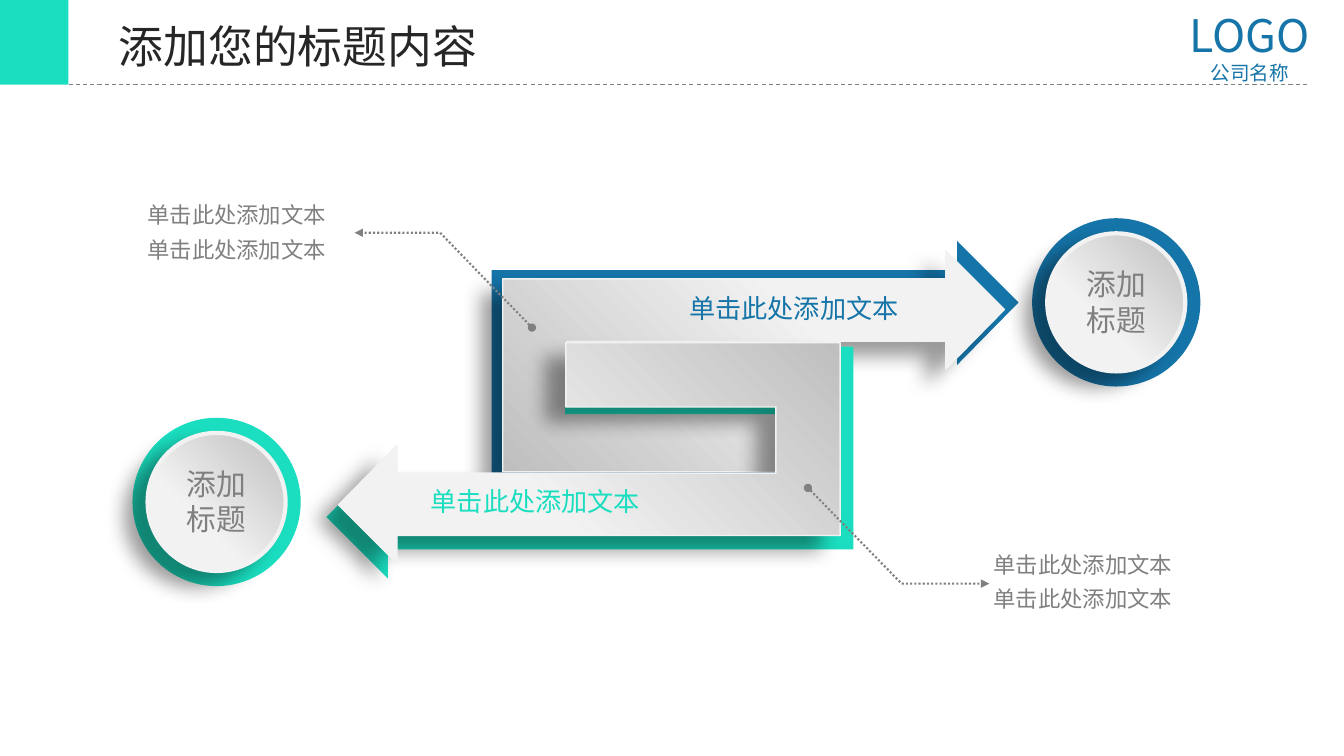
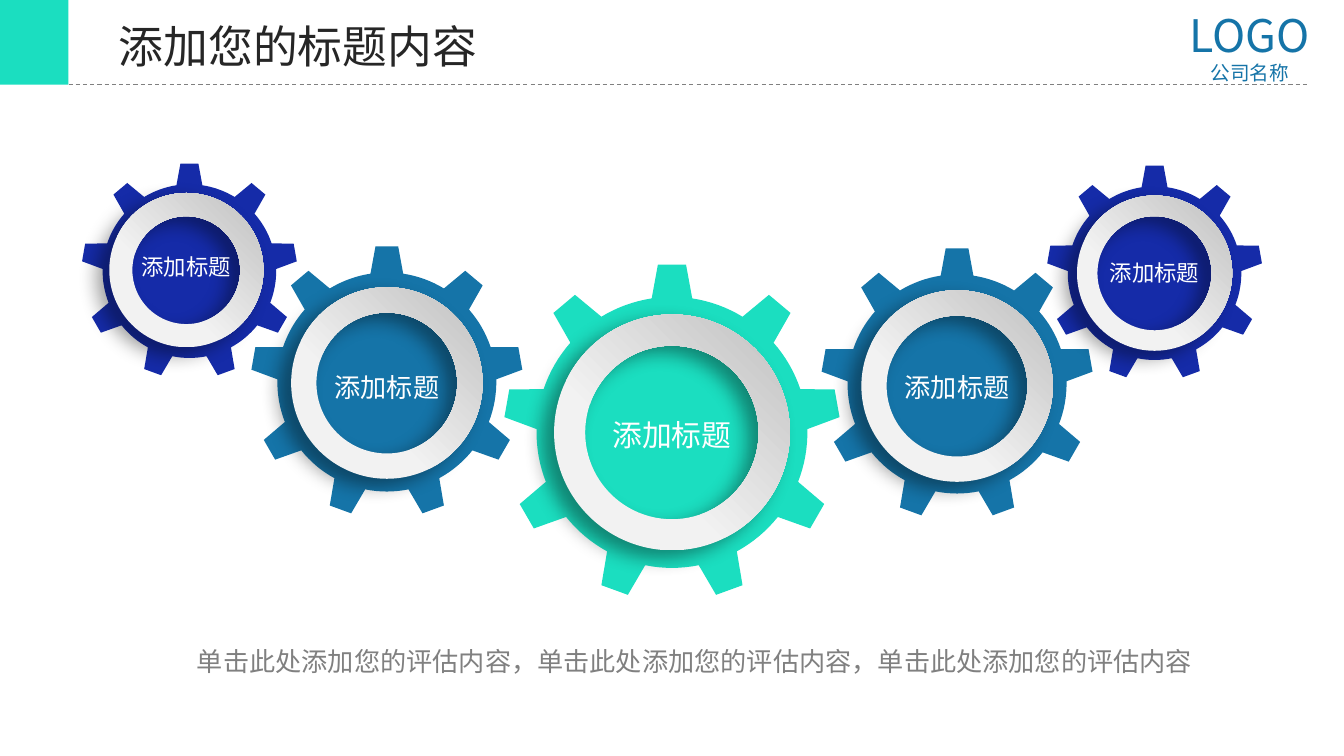
from dataclasses import dataclass
from math import cos, radians, sin

from lxml import etree
from pptx import Presentation
from pptx.dml.color import RGBColor
from pptx.enum import dml, shapes, text
from pptx.oxml import parse_xml
from pptx.oxml.ns import nsdecls, qn
from pptx.util import Inches, Pt

TEAL = RGBColor(0x1B, 0xDE, 0xC0)
BLUE = RGBColor(0x15, 0x74, 0xA8)
NAVY = RGBColor(0x15, 0x2B, 0xA8)
GRAY = RGBColor(0x80, 0x80, 0x80)
DARK = RGBColor(0x26, 0x26, 0x26)
WHITE = RGBColor(0xFF, 0xFF, 0xFF)
PALE = RGBColor(0xF2, 0xF2, 0xF2)
SILVER = RGBColor(0xBF, 0xBF, 0xBF)

LATIN = "Calibri"
BODY = "Noto Sans CJK SC"
HEADING = "Noto Sans CJK JP"
CENTER = text.PP_ALIGN.CENTER

HOOK_ARROW = [
    (2.37, 0), (5.23, 0), (5.23, 2.01), (0.61, 2.01), (0.61, 2.3), (0, 1.69),
    (0.61, 1.07), (0.61, 1.36), (4.56, 1.36), (4.56, 0.67), (2.37, 0.67),
]
FACE_SCALE = 0.952

TEETH = 9
TIP_ANGLE = 4.8
BASE_ANGLE = 8.6
BODY_RATIO = 0.805
ARC_STEPS = 8


@dataclass(frozen=True)
class Arrow:
    color: RGBColor
    back: tuple[float, float]
    face: tuple[float, float]
    rotation: int
    label_box: tuple[float, float, float, float]


@dataclass(frozen=True)
class Callout:
    points: list[tuple[float, float]]
    text_box: tuple[float, float, float, float]


@dataclass(frozen=True)
class Badge:
    cx: float
    cy: float
    color: RGBColor


@dataclass(frozen=True)
class Gear:
    cx: float
    cy: float
    radius: float
    color: RGBColor
    ring_center: tuple[float, float]
    ring_size: float
    label_y: float
    label_size: float
    ring_width: float = 0.132


ARROWS = [
    Arrow(BLUE, (4.88, 2.39), (4.99, 2.49), 180, (6.35, 2.85, 3.06, 0.42)),
    Arrow(TEAL, (3.24, 3.44), (3.36, 3.4), 0, (3.96, 4.76, 2.71, 0.42)),
]
CALLOUTS = [
    Callout([(5.28, 3.25), (4.37, 2.31), (3.52, 2.31)], (0.97, 1.86, 2.76, 0.8)),
    Callout([(8.02, 4.84), (8.95, 5.79), (9.82, 5.79)], (9.37, 5.33, 2.76, 0.8)),
]
BADGES = [Badge(11.08, 3, BLUE), Badge(2.15, 4.98, TEAL)]
GEARS = [
    Gear(11.46, 2.71, 1.07, NAVY, (11.46, 2.71), 1.54, 2.7, 16),
    Gear(9.5, 3.81, 1.35, BLUE, (9.5, 3.83), 1.9, 3.84, 18.7),
    Gear(6.67, 4.29, 1.67, TEAL, (6.67, 4.29), 2.34, 4.31, 21.3),
    Gear(3.84, 3.79, 1.35, BLUE, (3.84, 3.8), 1.9, 3.84, 18.7),
    Gear(1.88, 2.69, 1.07, NAVY, (1.85, 2.68), 1.53, 2.64, 16, 0.15),
]


def add_text(slide, box, lines, *, size, color, font=BODY, align=CENTER,
             spacing=None, wrap=True):
    """Add one paragraph per line; size is one number or one per line."""
    tf = slide.shapes.add_textbox(*map(Inches, box)).text_frame
    tf.word_wrap = wrap
    tf.vertical_anchor = text.MSO_ANCHOR.MIDDLE
    sizes = size if isinstance(size, list) else [size] * len(lines)
    for i, (line, points) in enumerate(zip(lines, sizes)):
        p = tf.add_paragraph() if i else tf.paragraphs[0]
        p.alignment = align
        if spacing:
            p.line_spacing = spacing
        r = p.add_run()
        r.text = line
        r.font.size = Pt(points)
        r.font.name = font
        r.font.color.rgb = color
        if font != LATIN:
            ea = etree.SubElement(r._r.get_or_add_rPr(), qn("a:ea"))
            ea.set("typeface", font)


def paint(sp, color=None):
    sp.shadow.inherit = False
    sp.line.fill.background()
    if color is None:
        sp.fill.background()
    else:
        sp.fill.solid()
        sp.fill.fore_color.rgb = color


def paint_raised(sp, *, line_width=None, distance):
    """Give a shape the silver gradient and a soft shadow to the lower left."""
    paint(sp)
    sp.fill.gradient()
    sp.fill.gradient_angle = 45
    for stop, color, position in zip(sp.fill.gradient_stops, (PALE, SILVER), (0.36, 1)):
        stop.color.rgb = color
        stop.position = position
    if line_width:
        sp.line.color.rgb = PALE
        sp.line.width = Pt(line_width)
    effects = sp._element.spPr.find(qn("a:effectLst"))
    effects.append(parse_xml(
        f'<a:outerShdw {nsdecls("a")} blurRad="{Pt(14)}" dist="{Pt(distance)}" '
        f'dir="{147 * 60000}" algn="ctr" rotWithShape="0">'
        '<a:srgbClr val="000000"><a:alpha val="40000"/></a:srgbClr></a:outerShdw>'))


def add_outline(slide, points, *, origin=(0, 0), scale=1.0, close=True):
    x0, y0 = origin
    pts = [(Inches(x0 + x * scale), Inches(y0 + y * scale)) for x, y in points]
    builder = slide.shapes.build_freeform(*pts[0], scale=1.0)
    builder.add_line_segments(pts[1:], close=close)
    return builder.convert_to_shape()


def add_round(slide, kind, cx, cy, size):
    return slide.shapes.add_shape(
        kind, Inches(cx - size / 2), Inches(cy - size / 2), Inches(size), Inches(size))


def add_arrow(slide, arrow: Arrow):
    back = add_outline(slide, HOOK_ARROW, origin=arrow.back)
    paint(back, arrow.color)
    face = add_outline(slide, HOOK_ARROW, origin=arrow.face, scale=FACE_SCALE)
    paint_raised(face, line_width=1, distance=18)
    back.rotation = face.rotation = arrow.rotation
    add_text(slide, arrow.label_box, ["单击此处添加文本"], size=18.7, color=arrow.color)


def add_callout(slide, callout: Callout):
    sp = add_outline(slide, callout.points, close=False)
    paint(sp)
    sp.line.color.rgb = GRAY
    sp.line.width = Pt(1.5)
    sp.line.dash_style = dml.MSO_LINE.ROUND_DOT
    ln = sp.line._get_or_add_ln()
    for end, kind in (("a:headEnd", "oval"), ("a:tailEnd", "triangle")):
        etree.SubElement(ln, qn(end)).set("type", kind)
    add_text(slide, callout.text_box, ["单击此处添加文本"] * 2, size=16, color=GRAY,
             spacing=1.3)


def add_badge(slide, badge: Badge):
    oval = shapes.MSO_SHAPE.OVAL
    paint(add_round(slide, oval, badge.cx, badge.cy, 1.67), badge.color)
    paint_raised(add_round(slide, oval, badge.cx, badge.cy, 1.37),
                 line_width=3, distance=18)
    add_text(slide, (badge.cx - 0.4, badge.cy - 0.42, 0.8, 0.82), ["添加", "标题"],
             size=21.3, color=GRAY, font=LATIN, wrap=False)


def gear_outline(gear: Gear) -> list[tuple[float, float]]:
    """Trace each tooth tip and the body arc that follows it, clockwise from the top."""
    pitch = 360 / TEETH
    arc_step = (pitch - 2 * BASE_ANGLE) / ARC_STEPS
    body = gear.radius * BODY_RATIO
    polar = []
    for tooth in range(TEETH):
        middle = tooth * pitch
        polar += [(gear.radius, middle - TIP_ANGLE), (gear.radius, middle + TIP_ANGLE)]
        polar += [(body, middle + BASE_ANGLE + i * arc_step) for i in range(ARC_STEPS + 1)]
    return [(gear.cx + r * sin(radians(a)), gear.cy - r * cos(radians(a)))
            for r, a in polar]


def add_ring(slide, gear: Gear):
    ring = add_round(slide, shapes.MSO_SHAPE.DONUT, *gear.ring_center, gear.ring_size)
    ring.adjustments[0] = gear.ring_width
    paint_raised(ring, distance=10)
    add_text(slide, (gear.ring_center[0] - 0.7, gear.label_y - 0.23, 1.4, 0.46),
             ["添加标题"], size=gear.label_size, color=WHITE, font=LATIN, wrap=False)


def add_header(slide):
    rule = slide.shapes.add_connector(
        shapes.MSO_CONNECTOR.STRAIGHT, *map(Inches, (0.68, 0.84, 12.97, 0.84)))
    rule.line.color.rgb = GRAY
    rule.line.width = Pt(0.75)
    rule.line.dash_style = dml.MSO_LINE.DASH
    etree.SubElement(rule._element.spPr, qn("a:effectLst"))
    block = slide.shapes.add_shape(
        shapes.MSO_SHAPE.RECTANGLE, *map(Inches, (0, 0, 0.68, 0.84)))
    paint(block, TEAL)
    add_text(slide, (1.08, 0.13, 5.43, 0.64), ["添加您的标题内容"], size=32, color=DARK,
             font=HEADING, align=text.PP_ALIGN.LEFT)
    add_text(slide, (11.58, 0, 1.65, 0.91), ["LOGO", "公司名称"], size=[32, 14],
             color=BLUE, font=HEADING)


def build_arrows(slide):
    for arrow in ARROWS:
        add_arrow(slide, arrow)
    for callout in CALLOUTS:
        add_callout(slide, callout)
    for badge in BADGES:
        add_badge(slide, badge)


def build_gears(slide):
    add_text(slide, (1.83, 6.35, 10.13, 0.42), ["，".join(["单击此处添加您的评估内容"] * 3)],
             size=18.7, color=GRAY, font=LATIN, wrap=False)
    for gear in GEARS:
        paint(add_outline(slide, gear_outline(gear)), gear.color)
    for gear in reversed(GEARS):
        add_ring(slide, gear)


def main():
    prs = Presentation()
    prs.slide_width = Inches(13.34)
    prs.slide_height = Inches(7.5)
    for build in (build_arrows, build_gears):
        slide = prs.slides.add_slide(prs.slide_layouts[6])
        build(slide)
        add_header(slide)
    prs.save("out.pptx")


if __name__ == "__main__":
    main()
